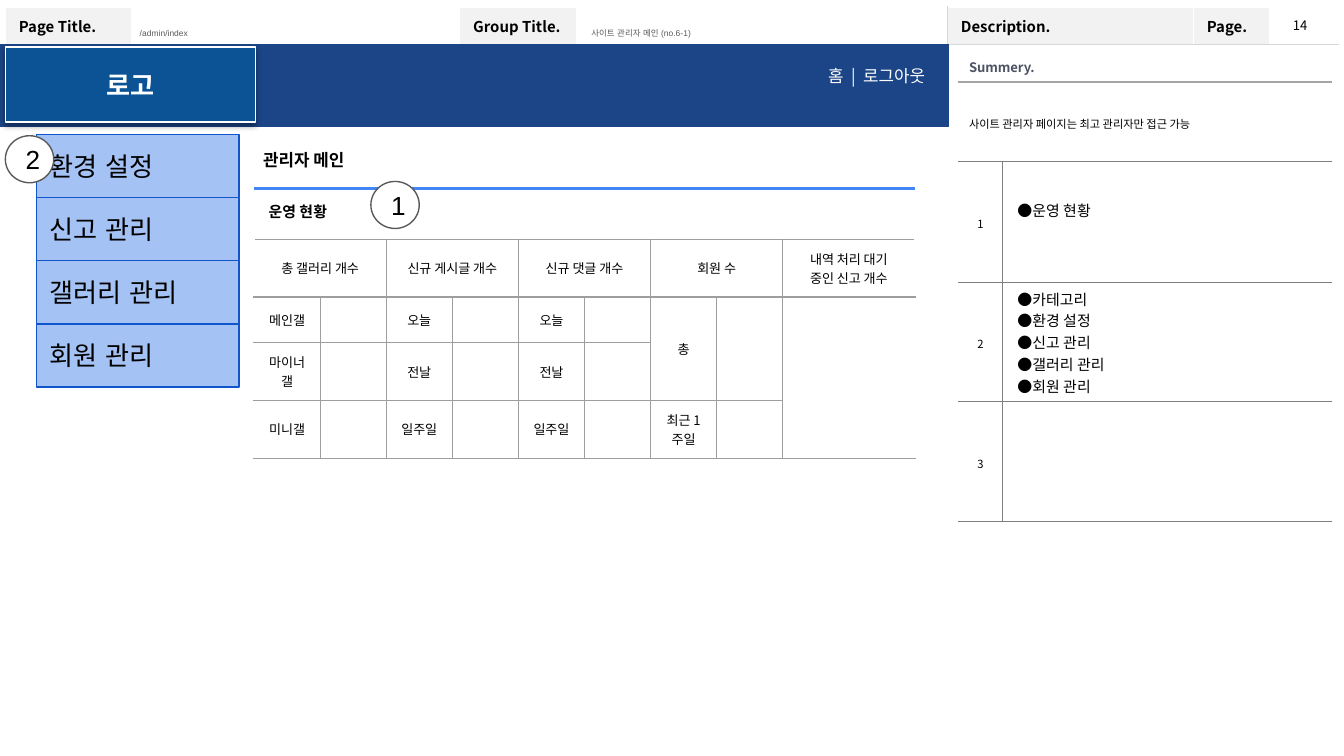
from lxml.etree import SubElement
from pptx import Presentation
from pptx.dml.color import RGBColor
from pptx.enum.shapes import MSO_CONNECTOR, MSO_SHAPE
from pptx.enum.text import MSO_ANCHOR, PP_ALIGN
from pptx.oxml import parse_xml
from pptx.oxml.ns import nsdecls, qn
from pptx.util import Pt

PX = 9144  # 100 px to the inch
SANS, ARIAL = "Noto Sans CJK KR", "Arial"
LEFT, CENTER, RIGHT = PP_ALIGN.LEFT, PP_ALIGN.CENTER, PP_ALIGN.RIGHT
COLORS = {
    "black": "000000", "white": "FFFFFF", "label": "F2F2F2", "pale": "D8D8D8",
    "rule": "A5A5A5", "dark_rule": "7F7F7F", "grid": "9E9E9E", "gray": "595959",
    "slate": "4E5263", "navy": "1C4587", "logo": "0B5394",
    "menu": "A4C2F4", "menu_line": "1155CC", "accent": "4285F4",
}
RGB = {name: RGBColor.from_string(value) for name, value in COLORS.items()}


def write(frame, text, size, font=SANS, color="black", bold=False, align=LEFT,
          insets=(10, 10), spacing=None, bullet=False, anchor=MSO_ANCHOR.MIDDLE):
    """Fill a text frame or a table cell, one paragraph per line of text."""
    frame.margin_left = frame.margin_right = insets[0] * PX
    frame.margin_top = frame.margin_bottom = insets[1] * PX
    frame.vertical_anchor = anchor
    body = getattr(frame, "text_frame", frame)
    body.word_wrap = True
    for number, line in enumerate(text.split("\n")):
        para = body.add_paragraph() if number else body.paragraphs[0]
        para.alignment = align
        if spacing:
            para.line_spacing = spacing
        if bullet:
            properties = para._p.get_or_add_pPr()
            properties.set("marL", str(10 * PX))
            properties.set("indent", str(-7 * PX))
            tint = SubElement(properties, qn("a:buClr"))
            SubElement(tint, qn("a:srgbClr")).set("val", COLORS[color])
            SubElement(properties, qn("a:buFont")).set("typeface", font)
            SubElement(properties, qn("a:buChar")).set("char", "●")
        if not line:
            para._p.get_or_add_endParaRPr().set("sz", str(size * 100))
            continue
        span = para.add_run()
        span.text = line
        span.font.size, span.font.bold, span.font.name = Pt(size), bold, font
        span.font.color.rgb = RGB[color]
        SubElement(span._r.get_or_add_rPr(), qn("a:ea")).set("typeface", font)


def style_cell(cell, fill, borders):
    """Draw left, right, top and bottom borders as (color, points) or None."""
    properties = cell._tc.get_or_add_tcPr()
    for side, border in zip("LRTB", borders):
        line = SubElement(properties, qn(f"a:ln{side}"))
        if border:
            color, width = border
            line.set("w", str(Pt(width)))
            solid = SubElement(line, qn("a:solidFill"))
            SubElement(solid, qn("a:srgbClr")).set("val", COLORS[color])
        else:
            SubElement(line, qn("a:noFill"))
    if fill:
        cell.fill.solid()
        cell.fill.fore_color.rgb = RGB[fill]
    else:
        cell.fill.background()


deck = Presentation()
deck.slide_width, deck.slide_height = 1000 * PX, 1125 * PX // 2  # 16:9
page = deck.slides.add_slide(deck.slide_layouts[6])
shapes = page.shapes

# Three tables: page frame, description panel, status grid
tables = []
for left, top, columns, rows in [
    (4, 5, [94, 244, 87, 276, 183, 57, 51], [28, 500]),
    (713, 39, [33, 245], [21, 59, 90, 89, 89]),
    (189, 178, [49.2] * 10, [43, 34, 43, 43]),
]:
    table = shapes.add_table(len(rows), len(columns), left * PX, top * PX,
                             int(sum(columns) * PX), sum(rows) * PX).table
    table.first_row = table.horz_banding = False
    for column, width in zip(table.columns, columns):
        column.width = int(width * PX)
    for row, height in zip(table.rows, rows):
        row.height = height * PX
    tables.append(table)
frame_table, panel, status = tables

# Page frame
edge, divider = ("white", 1), ("pale", 0.75)
labels = {0: "Page Title.", 2: "Group Title.", 4: "Description.", 5: "Page."}
for row in range(2):
    for column in range(7):
        cell = frame_table.cell(row, column)
        text = labels.get(column, "") if row == 0 else ""
        style_cell(cell, "label" if text else "white",
                   (divider if column == 4 else edge, divider if column == 3 else edge,
                    divider if row else edge, edge if row else divider))
        write(cell, text, 8, bold=True, insets=(10, 5))
for first, last in [(0, 3), (4, 6)]:
    frame_table.cell(1, first).merge(frame_table.cell(1, last))

# Description panel
light, dark = ("rule", 0.75), ("dark_rule", 0.75)
notes = ["운영 현황", "카테고리\n환경 설정\n신고 관리\n갤러리 관리\n회원 관리", ""]
for row in range(5):
    for column in range(2):
        inner = dark if row > 1 else None
        top_line = [None, light][row] if row < 2 else dark
        style_cell(panel.cell(row, column), "white",
                   (inner if column else None, None if column else inner,
                    top_line, dark if row else light))
    if row < 2:
        panel.cell(row, 0).merge(panel.cell(row, 1))
write(panel.cell(0, 0), "Summery.", 7, color="slate", bold=True, insets=(8, 4))
write(panel.cell(1, 0), "사이트 관리자 페이지는 최고 관리자만 접근 가능", 6,
      align=PP_ALIGN.JUSTIFY, insets=(8, 4), spacing=1.2)
for number, note in enumerate(notes, 1):
    write(panel.cell(number + 1, 0), str(number), 6, align=CENTER,
          insets=(8, 4), spacing=1.2)
    write(panel.cell(number + 1, 1), note, 8, insets=(8, 4), bullet=bool(note))
panel.cell(2, 1).margin_bottom = 22 * PX  # the first note sits above the middle

# Status grid
headings = ["총 갤러리 개수", "신규 게시글 개수", "신규 댓글 개수", "회원 수",
            "내역 처리 대기 중인 신고 개수"]
periods = ["오늘", "전날", "일주일"]
row_labels = [["메인갤", "마이너 갤", "미니갤"], periods, periods,
              ["총", "", "최근 1주일"], ["", "", ""]]
line, outer = ("grid", 0.75), ("white", 0.75)
for column in range(10):
    group = column // 2
    for row, text in enumerate([headings[group]] + row_labels[group]):
        cell = status.cell(row, column)
        style_cell(cell, None, (line if column else outer,
                                line if column < 8 else outer, line, line))
        write(cell, "" if column % 2 else text, 7, align=CENTER,
              insets=(10 if row else 12, 7))
for column in range(0, 10, 2):
    status.cell(0, column).merge(status.cell(0, column + 1))
for column in (6, 7):
    status.cell(1, column).merge(status.cell(2, column))
status.cell(1, 8).merge(status.cell(3, 9))

# Blocks: top bar, logo, side menu, number marks
RECT, OVAL = MSO_SHAPE.RECTANGLE, MSO_SHAPE.OVAL
plain = {"size": 14, "font": ARIAL}
logo_style = {"size": 14, "color": "white", "bold": True, "align": CENTER, "insets": (7, 4)}
menu = ["환경 설정", "신고 관리", "갤러리 관리", "회원 관리"]
blocks = [
    (RECT, (0, 33, 706, 61), "navy", "navy", "", plain),
    (RECT, (4, 35, 186, 56), "logo", "white", "로고", logo_style),
    *[(RECT, (27, 100 + 47 * index, 151, 47), "menu", "menu_line", item, plain)
      for index, item in enumerate(menu)],
    (OVAL, (276, 135, 36, 35), "white", "gray", "1", plain),
    (OVAL, (4, 101, 36, 35), "white", "gray", "2", plain),
]
for kind, place, fill, outline, text, style in blocks:
    block = shapes.add_shape(kind, *[length * PX for length in place])
    block.shadow.inherit = False
    block.fill.solid()
    block.fill.fore_color.rgb = RGB[fill]
    block.line.color.rgb = RGB[outline]
    block.line.width = Pt(0.75)
    if text:
        write(block.text_frame, text, **style)
    if fill == "logo":
        block._element.spPr.find(qn("a:effectLst")).append(parse_xml(
            f'<a:outerShdw {nsdecls("a")} blurRad="{Pt(3.1)}" dist="{Pt(1.6)}" dir="5400000">'
            '<a:srgbClr val="000000"><a:alpha val="38000"/></a:srgbClr></a:outerShdw>'))

# Free text
caption = {"size": 4.5, "font": ARIAL, "color": "gray", "insets": (7, 4), "spacing": 0.95}
top_anchor = {"anchor": MSO_ANCHOR.TOP}
for place, text, style in [
    ((433, 16, 273, 18), "사이트 관리자 메인 (no.6-1)", caption),
    ((97, 16, 243, 18), "/admin/index", caption),
    ((955, 9, 31, 19), "14", {"size": 7, "insets": (7, 4), **top_anchor}),
    ((483, 41, 215, 35), "홈  |  로그아웃",
     {"size": 9, "color": "white", "align": RIGHT, **top_anchor}),
    ((186, 104, 466, 35), "관리자 메인", {"size": 9, "bold": True, **top_anchor}),
    ((190, 144, 466, 34), "운영 현황", {"size": 8, "bold": True, **top_anchor}),
]:
    box = shapes.add_textbox(*[length * PX for length in place])
    write(box.text_frame, text, **style)

# Rule under the heading, kept behind the number marks
rule = shapes.add_connector(MSO_CONNECTOR.STRAIGHT, 189 * PX, 140 * PX, 681 * PX, 140 * PX)
rule.line.color.rgb = RGB["accent"]
rule.line.width = Pt(1.5)
SubElement(rule._element.spPr, qn("a:effectLst"))
block._element.getparent().insert(5, rule._element)

deck.save("out.pptx")
